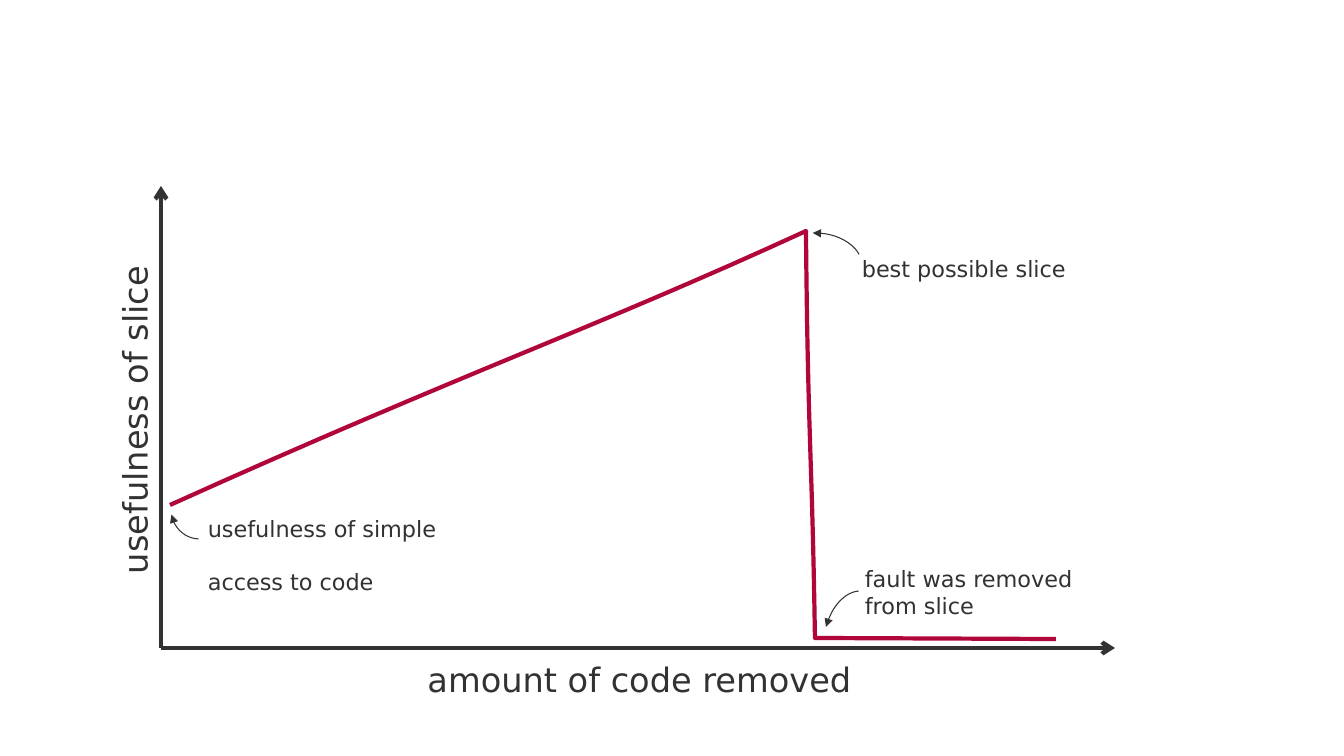
from lxml import etree
from pptx import Presentation
from pptx.dml.color import RGBColor
from pptx.enum.shapes import MSO_CONNECTOR, MSO_SHAPE
from pptx.enum.text import MSO_AUTO_SIZE, PP_ALIGN
from pptx.oxml.ns import qn
from pptx.util import Emu, Pt

EMU_PER_PIXEL = 914400 / 100.8
STRAIGHT = MSO_CONNECTOR.STRAIGHT
ARC = MSO_SHAPE.ARC
CENTER, LEFT = PP_ALIGN.CENTER, PP_ALIGN.LEFT
GROW = MSO_AUTO_SIZE.SHAPE_TO_FIT_TEXT
FONT = "DejaVu Sans"
INK, CRIMSON = "323232", "B1063A"
ORIGIN = (161, 648)
ARC_UNITS_PER_DEGREE = 0.6
CURVE_STEPS = 16


def px(value):
    """Convert picture pixels to EMU."""
    return Emu(round(value * EMU_PER_PIXEL))


def color(hex_code):
    """Turn a hex string into a colour."""
    return RGBColor.from_string(hex_code)


def style_line(shape, hex_code, points, arrowhead=None):
    """Colour an outline, remove its shadow and optionally end it in an arrowhead."""
    shape.line.width = Pt(points)
    shape.line.fill.solid()
    shape.line.color.rgb = color(hex_code)
    properties = shape._element.spPr
    if arrowhead:
        outline = properties.find(qn("a:ln"))
        etree.SubElement(outline, qn("a:tailEnd"), type=arrowhead)
    etree.SubElement(properties, qn("a:effectLst"))


def add_axis(slide, end):
    """Draw an axis from the origin to its arrow tip."""
    axis = slide.shapes.add_connector(STRAIGHT, *map(px, ORIGIN + end))
    style_line(axis, INK, 3, "arrow")


def add_label(slide, bounds, lines, size, align=LEFT, rotation=0, gap=0):
    """Add a text label with one paragraph per line."""
    box = slide.shapes.add_textbox(*map(px, bounds))
    box.rotation = rotation
    frame = box.text_frame
    frame.word_wrap = True
    frame.auto_size = GROW
    frame.text = "\n".join(lines)
    for index, para in enumerate(frame.paragraphs):
        para.alignment = align
        para.space_before = Pt(gap if index else 0)
        for span in para.runs:
            span.font.name = FONT
            span.font.size = Pt(size)
            span.font.color.rgb = color(INK)


def add_pointer(slide, bounds, start, end, flipped):
    """Draw a curved arrow between two angles in degrees."""
    pointer = slide.shapes.add_shape(ARC, *map(px, bounds))
    pointer.adjustments[0] = start * ARC_UNITS_PER_DEGREE
    pointer.adjustments[1] = end * ARC_UNITS_PER_DEGREE
    if flipped:
        pointer._element.spPr.xfrm.set("flipV", "1")
    pointer.fill.background()
    style_line(pointer, INK, 0.75, "triangle")


def bezier_points(*controls):
    """Sample a cubic Bezier curve after its starting point."""
    points = []
    for step in range(1, CURVE_STEPS + 1):
        t = step / CURVE_STEPS
        weights = ((1 - t) ** 3, 3 * t * (1 - t) ** 2, 3 * t * t * (1 - t), t ** 3)
        points.append(tuple(sum(weight * value for weight, value in zip(weights, axis))
                            for axis in zip(*controls)))
    return points


def add_usefulness_curve(slide):
    """Draw the rise to the best slice, the drop and the flat end."""
    start, peak, bottom, end = (170, 505), (806, 231), (815, 638), (1056, 639)
    points = bezier_points(start, (467, 371), (593, 329), peak)
    points += bezier_points(peak, (808, 447), (812, 445), bottom)
    points.append(end)
    builder = slide.shapes.build_freeform(*map(px, start))
    builder.add_line_segments([(px(x), px(y)) for x, y in points], close=False)
    curve = builder.convert_to_shape()
    curve.fill.background()
    style_line(curve, CRIMSON, 3)


def main():
    """Build the slide on slice usefulness."""
    deck = Presentation()
    deck.slide_width, deck.slide_height = px(1344), px(756)
    slide = deck.slides.add_slide(deck.slide_layouts[6])

    add_axis(slide, (1115, 648))
    add_label(slide, (164, 654, 951, 50), ["amount of code removed"], 24, CENTER)
    add_axis(slide, (161, 186))
    add_label(slide, (-100, 395, 468, 50), ["usefulness of slice"], 24, CENTER, 270)
    add_usefulness_curve(slide)

    add_label(slide, (198, 510, 252, 65),
              ["usefulness of simple", "access to code"], 16, gap=19)
    add_label(slide, (852, 250, 252, 37), ["best possible slice"], 16)
    add_label(slide, (855, 560, 252, 65), ["fault was removed from slice"], 16)

    add_pointer(slide, (171, 479, 57, 60), 91.55, 168.69, False)
    add_pointer(slide, (766, 233, 96, 65), 13.77, 92.15, True)
    add_pointer(slide, (822, 591, 77, 129), 91.61, 140.43, True)
    deck.save("out.pptx")


main()
